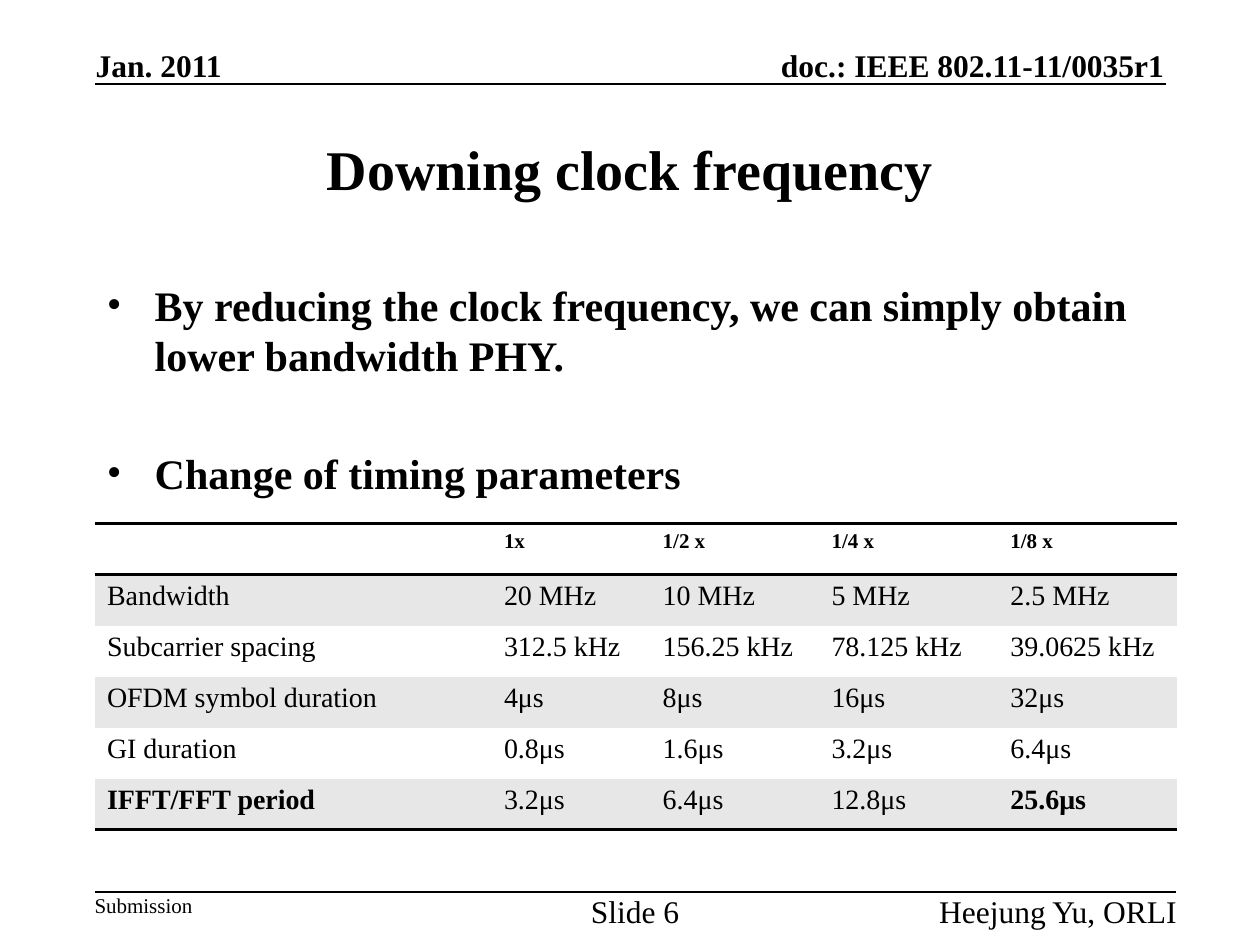
from dataclasses import dataclass
from lxml.etree import SubElement
from pptx import Presentation
from pptx.dml.color import RGBColor
from pptx.enum.shapes import MSO_CONNECTOR
from pptx.enum.text import MSO_ANCHOR, MSO_AUTO_SIZE, PP_ALIGN
from pptx.oxml.ns import qn
from pptx.util import Emu, Inches, Pt


@dataclass(frozen=True)
class Theme:
    """Colours, font and type sizes of the deck."""
    font: str = "Times New Roman"
    ink: str = "000000"
    paper: str = "FFFFFF"
    band: str = "E7E7E7"
    title: int = 32
    body: int = 24
    running: int = 18
    cell: int = 16
    small: int = 12
    rule: float = 1
    border: float = 2


THEME = Theme()
COLUMNS, ROWS = 40, 30
PLAIN_TABLE = "{2D5ABB26-0587-4C30-8999-92F81FD0307C}"


def write(para, text, size=THEME.cell, bold=False, align=PP_ALIGN.LEFT, before=0):
    """Put formatted text into a paragraph."""
    para.alignment = align
    para.space_before = Pt(before)
    span = para.add_run()
    span.text = text
    span.font.name = THEME.font
    span.font.size = Pt(size)
    span.font.bold = bold
    span.font.color.rgb = RGBColor.from_string(THEME.ink)


def add_bullet(para, indent):
    """Give a paragraph a round bullet with a hanging indent."""
    properties = para._p.get_or_add_pPr()
    properties.set("marL", str(indent))
    properties.set("indent", str(-indent))
    SubElement(properties, qn("a:buFont"), typeface=THEME.font)
    SubElement(properties, qn("a:buChar"), char="•")


def add_border(cell, side):
    """Draw one horizontal edge of a cell: lnT or lnB."""
    properties = cell._tc.get_or_add_tcPr()
    line = SubElement(properties, qn("a:" + side), w=str(Pt(THEME.border)))
    fill = SubElement(line, qn("a:solidFill"))
    SubElement(fill, qn("a:srgbClr"), val=THEME.ink)


class Sheet:
    """A slide whose elements are placed on a grid."""

    def __init__(self, deck):
        """Add a title-only page and work out the grid step."""
        self.page = deck.slides.add_slide(deck.slide_layouts[5])
        self.step_x = deck.slide_width / COLUMNS
        self.step_y = deck.slide_height / ROWS

    def place(self, column, row, width, height):
        """Turn grid units into lengths."""
        return (Emu(round(column * self.step_x)), Emu(round(row * self.step_y)),
                Emu(round(width * self.step_x)), Emu(round(height * self.step_y)))

    def title(self, text, area):
        """Move and fill the title placeholder."""
        box = self.page.shapes.title
        box.left, box.top, box.width, box.height = self.place(*area)
        frame = box.text_frame
        frame.auto_size = MSO_AUTO_SIZE.NONE
        frame.vertical_anchor = MSO_ANCHOR.MIDDLE
        write(frame.paragraphs[0], text, size=THEME.title, bold=True,
              align=PP_ALIGN.CENTER)

    def label(self, text, area, anchor=MSO_ANCHOR.TOP, **style):
        """Add one line of running text without margins."""
        frame = self.page.shapes.add_textbox(*self.place(*area)).text_frame
        frame.word_wrap = False
        frame.auto_size = MSO_AUTO_SIZE.NONE
        frame.vertical_anchor = anchor
        frame.margin_left = frame.margin_right = 0
        frame.margin_top = frame.margin_bottom = 0
        write(frame.paragraphs[0], text, **style)

    def bullets(self, items, area):
        """Add bulleted text from (text, space before) pairs."""
        frame = self.page.shapes.add_textbox(*self.place(*area)).text_frame
        frame.word_wrap = True
        for index, (text, before) in enumerate(items):
            para = frame.add_paragraph() if index else frame.paragraphs[0]
            write(para, text, size=THEME.body, bold=True, before=before)
            add_bullet(para, Inches(0.38))

    def rule(self, start, end, row):
        """Draw a horizontal line between two columns."""
        left, top, width, _ = self.place(start, row, end - start, 0)
        line = self.page.shapes.add_connector(
            MSO_CONNECTOR.STRAIGHT, left, top, left + width, top)
        line.line.color.rgb = RGBColor.from_string(THEME.ink)
        line.line.width = Pt(THEME.rule)
        SubElement(line._element.spPr, qn("a:effectLst"))

    def table(self, rows, corner, widths, row_height, bold_cells):
        """Add a banded table with ruled header and last row."""
        area = (*corner, sum(widths), row_height * len(rows))
        frame = self.page.shapes.add_table(len(rows), len(widths), *self.place(*area))
        table = frame.table
        table.first_row = table.horz_banding = False
        table._tbl.tblPr.find(qn("a:tableStyleId")).text = PLAIN_TABLE
        for column, width in zip(table.columns, widths):
            column.width = Emu(round(width * self.step_x))
        for r, texts in enumerate(rows):
            for c, text in enumerate(texts):
                cell = table.cell(r, c)
                if text:
                    write(cell.text_frame.paragraphs[0], text,
                          size=THEME.cell if r else THEME.small,
                          bold=r == 0 or (r, c) in bold_cells)
                if r == 0:
                    add_border(cell, "lnT")
                if r in (0, len(rows) - 1):
                    add_border(cell, "lnB")
                cell.fill.solid()
                cell.fill.fore_color.rgb = RGBColor.from_string(
                    THEME.band if r % 2 else THEME.paper)


TIMING = [
    ("", "1x", "1/2 x", "1/4 x", "1/8 x"),
    ("Bandwidth", "20 MHz", "10 MHz", "5 MHz", "2.5 MHz"),
    ("Subcarrier spacing", "312.5 kHz", "156.25 kHz", "78.125 kHz", "39.0625 kHz"),
    ("OFDM symbol duration", "4μs", "8μs", "16μs", "32μs"),
    ("GI duration", "0.8μs", "1.6μs", "3.2μs", "6.4μs"),
    ("IFFT/FFT period", "3.2μs", "6.4μs", "12.8μs", "25.6μs"),
]


def build():
    """Build the deck and save it."""
    deck = Presentation()
    deck.slide_width, deck.slide_height = Inches(10), Inches(7.5)
    sheet = Sheet(deck)
    header = dict(anchor=MSO_ANCHOR.BOTTOM, size=THEME.running, bold=True)
    foot, line_height = 28.33, 1.2

    sheet.label("doc.: IEEE 802.11-11/0035r1", (22.64, 1.46, 14.32, line_height),
                align=PP_ALIGN.RIGHT, **header)
    sheet.label("Jan. 2011", (3.04, 1.46, 4.2, line_height), **header)
    sheet.rule(3, 37, 2.67)
    sheet.title("Downing clock frequency", (3, 3, 34, 4.67))
    sheet.bullets([
        ("By reducing the clock frequency, we can simply obtain "
         "lower bandwidth PHY.", 5),
        ("Change of timing parameters", 38.5),
    ], (3, 8.67, 34, 18))
    sheet.table(TIMING, (3, 16.62), (12.6, 5.04, 5.36, 5.68, 5.68), 1.62,
                {(5, 0), (5, 4)})
    sheet.rule(3, 37.33, foot)
    sheet.label("Submission", (3, foot, 3.4, line_height), size=THEME.small)
    sheet.label("Slide 6", (18.16, foot, 4, line_height), size=THEME.running,
                align=PP_ALIGN.CENTER)
    sheet.label("Heejung Yu, ORLI", (28.36, foot, 9, line_height),
                size=THEME.running, align=PP_ALIGN.RIGHT)
    deck.save("out.pptx")


build()
